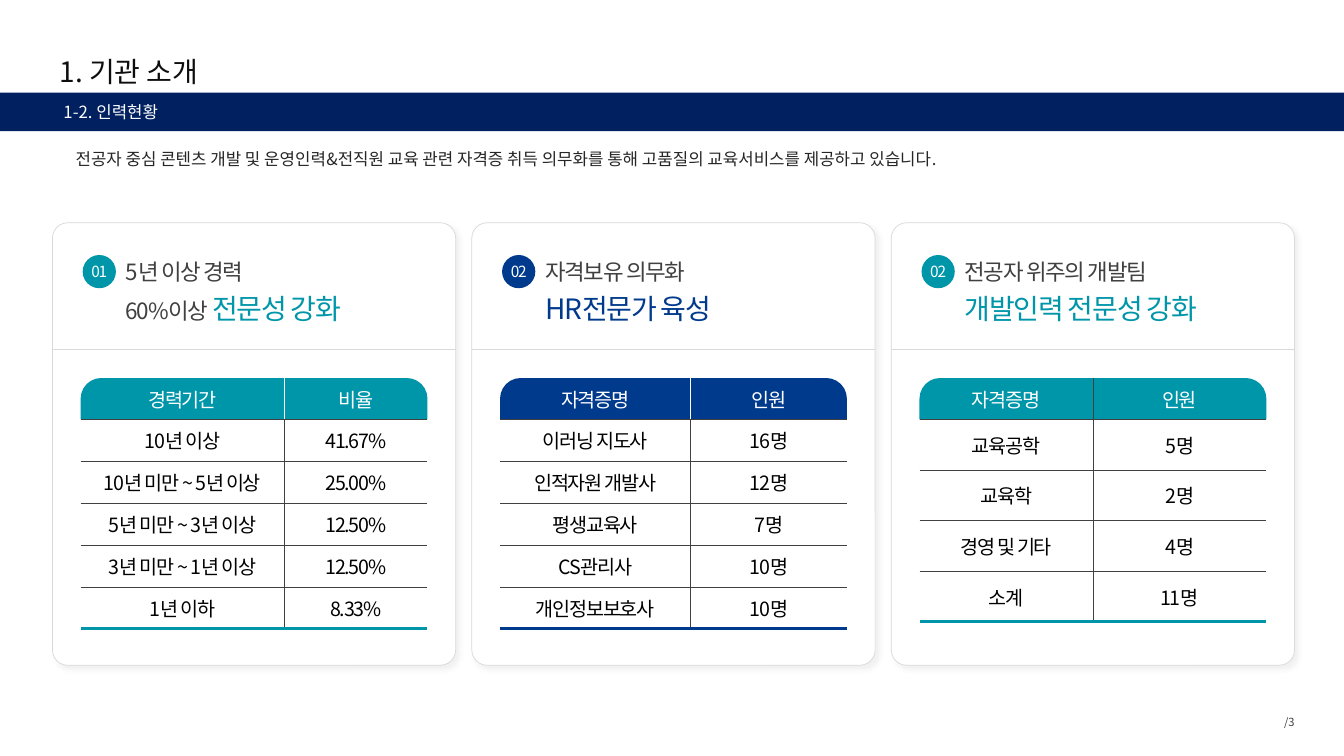
from collections import namedtuple
from dataclasses import dataclass

from lxml.etree import SubElement
from pptx import Presentation
from pptx.dml.color import RGBColor
from pptx.enum.shapes import MSO_CONNECTOR, MSO_SHAPE
from pptx.enum.text import MSO_ANCHOR, PP_ALIGN
from pptx.oxml import parse_xml
from pptx.oxml.ns import nsdecls, qn
from pptx.util import Inches, Pt

Box = namedtuple("Box", "left top width height")
Card = namedtuple("Card", "number color lead prefix claim claim_width first_column rule rows")


@dataclass(frozen=True)
class Theme:
    font: str = "Noto Sans CJK KR"
    header_font: str = "Arial"
    navy: str = "002060"
    teal: str = "0096AA"
    blue: str = "003A8C"
    white: str = "FFFFFF"
    black: str = "000000"
    ink: str = "0D0D0D"
    body: str = "262626"
    gray: str = "404040"
    outline: str = "D9D9D9"
    title_size: int = 20
    lead_size: int = 16
    table_size: int = 14
    body_size: int = 12
    badge_size: int = 11
    page_size: int = 8
    tight: int = -90


THEME = Theme()
SLIDE = Box(0, 0, 13.33, 7.5)
MARGIN, CARD_WIDTH, CARD_PITCH = 0.52, 4, 4.16
CARDS = [
    Card("01", THEME.teal, "5년 이상 경력", "60%이상 ", "전문성 강화", 2.47, 2.02, THEME.white,
         [("경력기간", "비율"), ("10년 이상", "41.67%"), ("10년 미만 ~ 5년 이상", "25.00%"),
          ("5년 미만 ~ 3년 이상", "12.50%"), ("3년 미만 ~ 1년 이상", "12.50%"), ("1년 이하", "8.33%")]),
    Card("02", THEME.blue, "자격보유 의무화", "", "HR전문가 육성", 1.94, 1.89, THEME.white,
         [("자격증명", "인원"), ("이러닝 지도사", "16명"), ("인적자원 개발사", "12명"),
          ("평생교육사", "7명"), ("CS관리사", "10명"), ("개인정보보호사", "10명")]),
    Card("02", THEME.teal, "전공자 위주의 개발팀", "", "개발인력 전문성 강화", 2.6, 1.72, THEME.gray,
         [("자격증명", "인원"), ("교육공학", "5명"), ("교육학", "2명"),
          ("경영 및 기타", "4명"), ("소계", "11명")]),
]


def rgb(color):
    return RGBColor.from_string(color)


def emu(box):
    return [Inches(length) for length in box]


def style(font, size, color, spacing=0, latin=THEME.font):
    """Format a font, including its East Asian face and letter spacing."""
    font.size, font.name, font.bold = Pt(size), latin, False
    font.color.rgb = rgb(color)
    SubElement(font._rPr, qn("a:ea")).set("typeface", THEME.font)
    if spacing:
        font._rPr.set("spc", str(spacing))


def set_frame(frame, insets, anchor=MSO_ANCHOR.TOP, wrap=False):
    frame.word_wrap, frame.vertical_anchor = wrap, anchor
    (frame.margin_left, frame.margin_top,
     frame.margin_right, frame.margin_bottom) = [Inches(inset) for inset in insets]


def write(frame, text, align, *look):
    paragraph = frame.paragraphs[0]
    paragraph.text, paragraph.alignment = text, align
    style(paragraph.font, *look)
    return paragraph


def add_panel(slide, preset, box, fill, outline=None):
    panel = slide.shapes.add_shape(preset, *emu(box))
    panel.shadow.inherit = False
    panel.fill.solid()
    panel.fill.fore_color.rgb = rgb(fill)
    if outline:
        panel.line.color.rgb, panel.line.width = rgb(outline), Pt(0.5)
    else:
        panel.line.fill.background()
    return panel


def set_border(cell, side, color=None, width=0.5):
    properties = cell._tc.get_or_add_tcPr()
    border = parse_xml(f'<a:{side} {nsdecls("a")} w="{Pt(width)}"/>')
    if color:
        fill = SubElement(border, qn("a:solidFill"))
        SubElement(fill, qn("a:srgbClr")).set("val", color)
    else:
        SubElement(border, qn("a:noFill"))
    properties.append(border)


def add_heading(slide, box):
    title = slide.shapes.title
    title.left, title.top, title.width, title.height = emu(
        Box(0.55, box.top - 0.45, 10.02, 0.47))
    set_frame(title.text_frame, [0.04] * 4, MSO_ANCHOR.MIDDLE)
    write(title.text_frame, "1. 기관 소개", PP_ALIGN.LEFT, THEME.title_size, THEME.ink)

    section = add_panel(slide, MSO_SHAPE.RECTANGLE, box, THEME.navy)
    set_frame(section.text_frame, [0.63, 0.05, 0.1, 0.05], MSO_ANCHOR.MIDDLE)
    write(section.text_frame, "1-2. 인력현황", PP_ALIGN.LEFT, THEME.body_size, THEME.white)


def add_summary(slide, box):
    summary = slide.shapes.add_textbox(*emu(box)).text_frame
    set_frame(summary, [0] * 4, wrap=True)
    write(summary, "전공자 중심 콘텐츠 개발 및 운영인력&전직원 교육 관련 자격증 취득 의무화를 통해 "
          "고품질의 교육서비스를 제공하고 있습니다.",
          PP_ALIGN.LEFT, THEME.body_size, THEME.body).line_spacing = 1.2


def add_card_frame(slide, box):
    frame = add_panel(slide, MSO_SHAPE.ROUNDED_RECTANGLE, box, THEME.white, THEME.outline)
    frame.adjustments[0] = 0.038
    effects = frame._element.spPr.find(qn("a:effectLst"))
    effects.append(parse_xml(
        f'<a:outerShdw {nsdecls("a")} blurRad="{Pt(4)}" dist="{Pt(3)}" dir="2700000" '
        'algn="tl" rotWithShape="0"><a:srgbClr val="000000"><a:alpha val="5000"/>'
        '</a:srgbClr></a:outerShdw>'))
    level = box.top + 1.26
    divider = slide.shapes.add_connector(
        MSO_CONNECTOR.STRAIGHT, *emu((box.left, level, box.left + box.width, level)))
    divider.line.color.rgb, divider.line.width = rgb(THEME.outline), Pt(0.75)
    SubElement(divider._element.spPr, qn("a:effectLst"))


def add_claim(slide, box, card):
    badge = add_panel(slide, MSO_SHAPE.OVAL,
                      Box(box.left, box.top + 0.07, 0.33, 0.33), card.color)
    set_frame(badge.text_frame, [0] * 4, MSO_ANCHOR.MIDDLE, wrap=True)
    write(badge.text_frame, card.number, PP_ALIGN.CENTER,
          THEME.badge_size, THEME.white, THEME.tight)

    claim = slide.shapes.add_textbox(
        *emu(Box(box.left + 0.33, box.top, card.claim_width, box.height))).text_frame
    set_frame(claim, [0.1, 0.05, 0.1, 0.05])
    plain = (THEME.lead_size, THEME.gray, THEME.tight)
    accent = (THEME.title_size, card.color, THEME.tight)
    write(claim, card.lead, PP_ALIGN.LEFT, *plain).line_spacing = 1.2
    second = claim.add_paragraph()
    second.line_spacing = 1.2
    style(second.font, *(plain if card.prefix else accent))
    if card.prefix:
        second.add_run().text = card.prefix
    emphasis = second.add_run()
    emphasis.text = card.claim
    if card.prefix:
        style(emphasis.font, *accent)


def add_staff_table(slide, box, card):
    header_height = 0.41
    header = add_panel(slide, MSO_SHAPE.ROUND_2_SAME_RECTANGLE,
                       box._replace(height=header_height), card.color)
    header.adjustments[0] = 0.5
    last = len(card.rows) - 1
    table = slide.shapes.add_table(last + 1, 2, *emu(box)).table
    table.first_row = table.horz_banding = False
    table.columns[0].width = Inches(card.first_column)
    table.columns[1].width = Inches(box.width - card.first_column)
    for r, row in enumerate(card.rows):
        table.rows[r].height = Inches((box.height - header_height) / last if r else header_height)
        color, latin = (THEME.black, THEME.font) if r else (THEME.white, THEME.header_font)
        rule = THEME.gray if r else card.rule
        for c, text in enumerate(row):
            cell = table.cell(r, c)
            cell.vertical_anchor = MSO_ANCHOR.MIDDLE
            write(cell.text_frame, text, PP_ALIGN.CENTER,
                  THEME.table_size, color, THEME.tight, latin)
            set_border(cell, "lnL", rule if c else None)
            set_border(cell, "lnR", None if c else rule)
            set_border(cell, "lnT", THEME.gray if r else None)
            set_border(cell, "lnB", *((card.color, 2.25) if r == last else (THEME.gray,)))
            cell.fill.background()


def add_card(slide, box, card):
    add_card_frame(slide, box)
    add_claim(slide, Box(box.left + 0.3, box.top + 0.25, 3.4, 0.8), card)
    table_height = 2.49 if len(card.rows) == 6 else 2.42
    add_staff_table(slide, Box(box.left + 0.28, box.top + 1.54, 3.44, table_height), card)


def add_page_number(slide, box):
    page = slide.shapes.add_textbox(*emu(box)).text_frame
    set_frame(page, [0.1, 0.05, 0.1, 0.05], MSO_ANCHOR.MIDDLE)
    write(page, "/3", PP_ALIGN.RIGHT, THEME.page_size, THEME.gray)


def main():
    deck = Presentation()
    deck.slide_width, deck.slide_height = Inches(SLIDE.width), Inches(SLIDE.height)
    slide = deck.slides.add_slide(deck.slide_layouts[5])
    add_heading(slide, Box(0, 0.92, SLIDE.width, 0.38))
    add_summary(slide, Box(0.75, 1.44, 12.19, 0.77))
    for column, card in enumerate(CARDS):
        add_card(slide, Box(MARGIN + column * CARD_PITCH, 2.21, CARD_WIDTH, 4.39), card)
    add_page_number(slide, Box(12.45, 7.04, 0.49, 0.25))
    deck.save("out.pptx")


if __name__ == "__main__":
    main()
